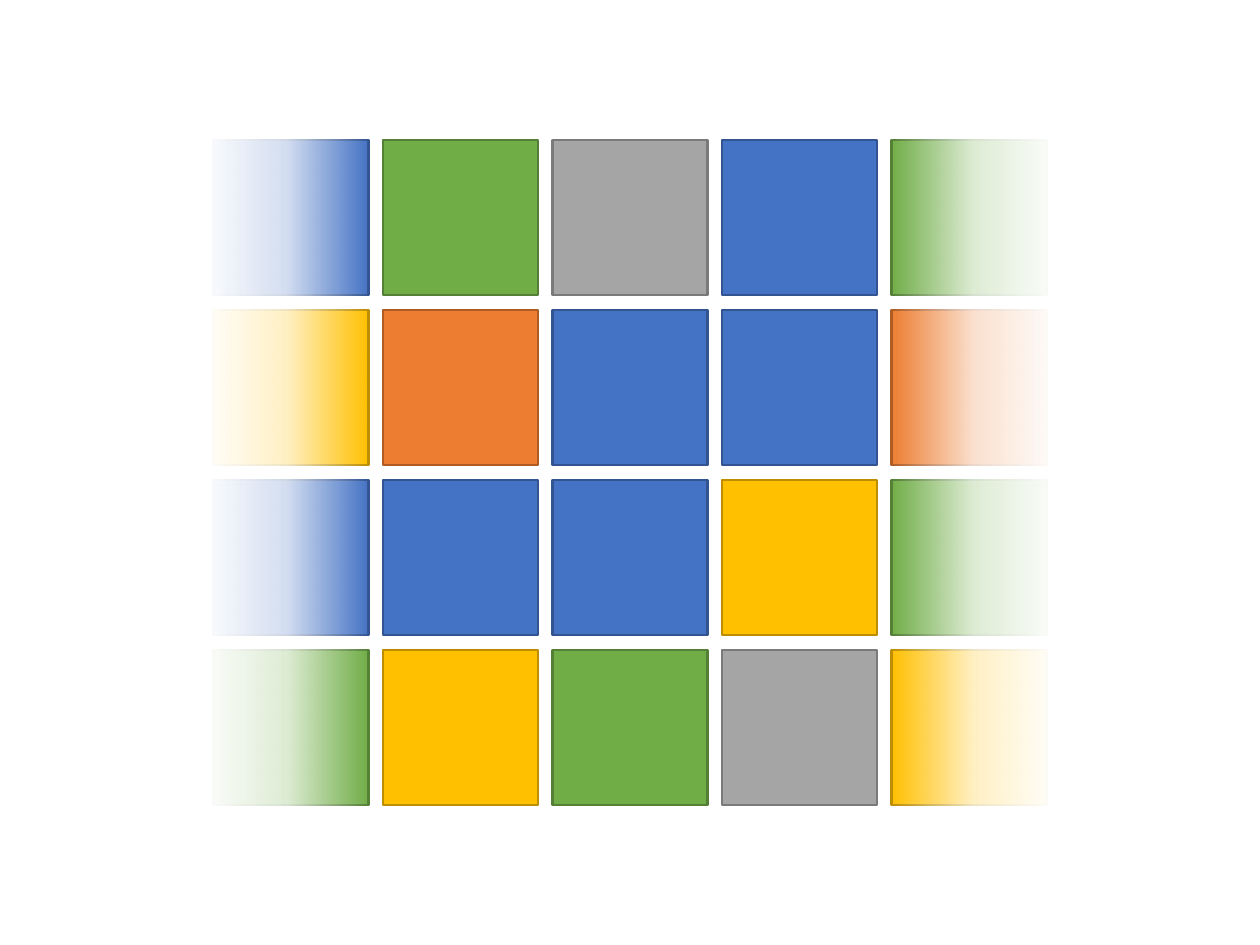
"""Build a grid of coloured tiles that fades out at both sides."""
from lxml import etree
from pptx import Presentation
from pptx.dml.color import RGBColor
from pptx.enum import shapes
from pptx.oxml import ns
from pptx.util import Inches, Pt

TONES = {
    "blue": ("4472C4", "325491"),
    "green": ("70AD47", "538035"),
    "gray": ("A5A5A5", "7A7A7A"),
    "gold": ("FFC000", "BD8E00"),
    "orange": ("ED7D31", "AF5C24"),
}
GRID = [
    ["blue", "green", "gray", "blue", "green"],
    ["gold", "orange", "blue", "blue", "orange"],
    ["blue", "blue", "blue", "gold", "green"],
    ["green", "gold", "green", "gray", "gold"],
]
STOPS = [(0, 100), (52, 76), (100, 0)]
FADES = [(1.05, 0), (4.72, 180)]

SIDE = 0.82
LEFT, RIGHT, TOP = 1.13, 4.72, 0.74
STEP_X = (RIGHT - LEFT) / (len(GRID[0]) - 1)
STEP_Y = 0.9


def color(code):
    return RGBColor.from_string(code)


def add_rect(slide, x, y, w, h):
    rect = slide.shapes.add_shape(
        shapes.MSO_SHAPE.RECTANGLE, Inches(x), Inches(y), Inches(w), Inches(h))
    rect.shadow.inherit = False
    return rect


def add_tile(slide, row, col, tone):
    tile = add_rect(slide, LEFT + col * STEP_X, TOP + row * STEP_Y, SIDE, SIDE)
    fill, edge = TONES[tone]
    tile.fill.solid()
    tile.fill.fore_color.rgb = color(fill)
    tile.line.color.rgb = color(edge)
    tile.line.width = Pt(1)


def add_fade(slide, x, turn):
    fade = add_rect(slide, x, 0.63, 0.9, 3.73)
    fade.rotation = turn
    fade.line.fill.background()
    fade.fill.gradient()
    fade.fill.gradient_angle = 0
    stops = fade.element.spPr.find(".//" + ns.qn("a:gsLst"))
    for old in list(stops):
        stops.remove(old)
    for place, alpha in STOPS:
        stop = etree.SubElement(stops, ns.qn("a:gs"), pos=str(place * 1000))
        white = etree.SubElement(stop, ns.qn("a:srgbClr"), val="FFFFFF")
        etree.SubElement(white, ns.qn("a:alpha"), val=str(alpha * 1000))


def main():
    deck = Presentation()
    deck.slide_width, deck.slide_height = Inches(6.67), Inches(5)
    slide = deck.slides.add_slide(deck.slide_layouts[6])
    for row, tones in enumerate(GRID):
        for col, tone in enumerate(tones):
            add_tile(slide, row, col, tone)
    for x, turn in FADES:
        add_fade(slide, x, turn)
    deck.save("out.pptx")


if __name__ == "__main__":
    main()
